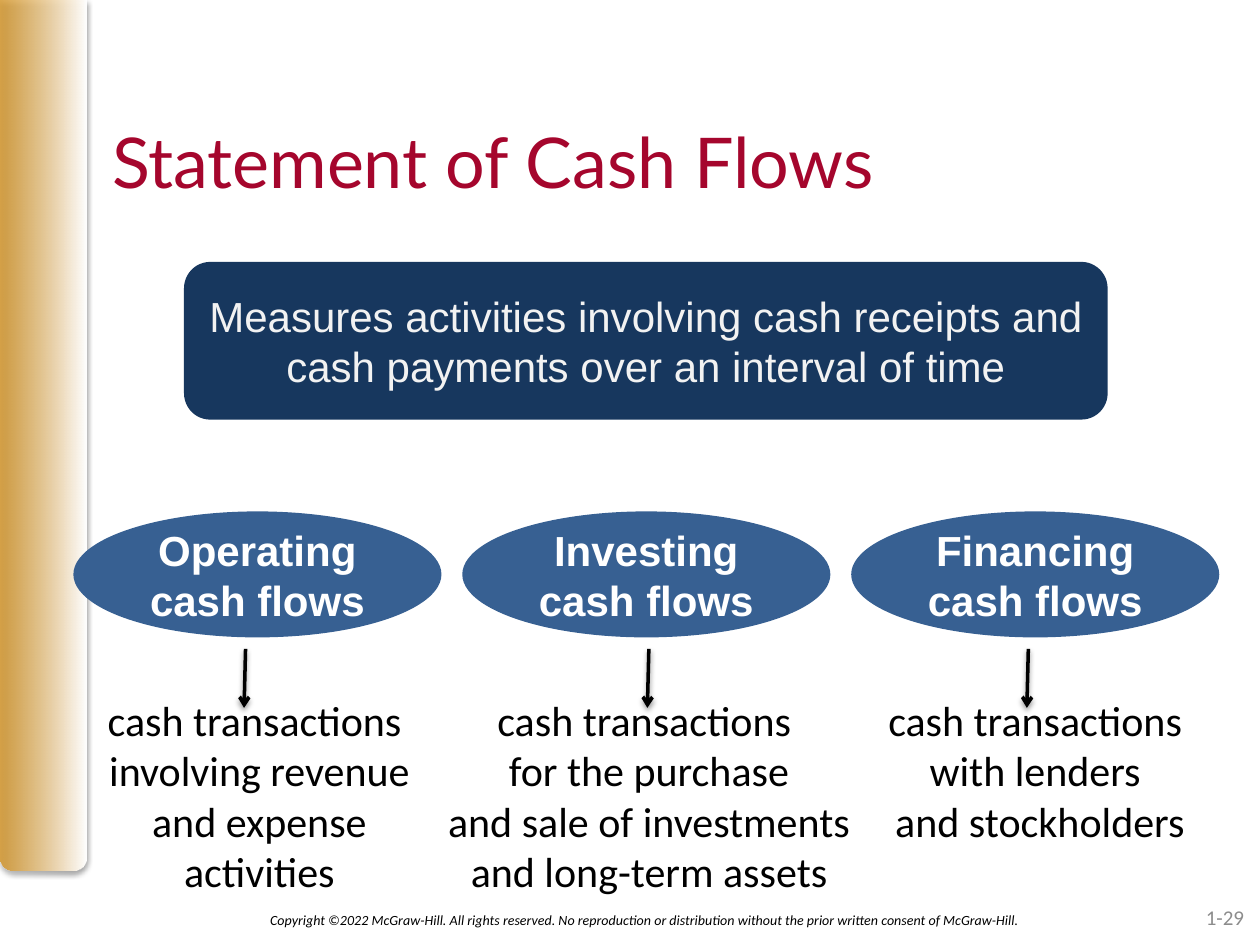
from lxml.etree import SubElement
from pptx import Presentation
from pptx.dml.color import RGBColor
from pptx.enum.shapes import MSO_CONNECTOR as Line, MSO_SHAPE as Preset
from pptx.enum.text import MSO_ANCHOR as Anchor, PP_ALIGN as Align
from pptx.oxml.ns import qn
from pptx.util import Cm, Pt

GOLD = RGBColor(0xD4, 0x93, 0x23)
CRIMSON = RGBColor(0xA5, 0x06, 0x2D)
NAVY = RGBColor(0x17, 0x37, 0x5E)
BLUE = RGBColor(0x37, 0x60, 0x92)
PALE = RGBColor(0xF2, 0xF2, 0xF2)
GREY = RGBColor(0x8C, 0x8C, 0x8C)
WHITE = RGBColor(0xFF, 0xFF, 0xFF)
BLACK = RGBColor(0, 0, 0)

ACTIVITY_LEFT, ACTIVITY_STEP = 1.48, 7.84
ACTIVITIES = [
    ("Operating", 4.95, (1.7, 13.87, 7.06, 4.37), True,
     ["cash transactions ", "involving revenue and expense activities"]),
    ("Investing", 13.08, (8.74, 13.87, 8.69, 4.37), False,
     ["cash transactions ", "for the purchase", "and sale of investments",
      "and long-term assets"]),
    ("Financing", 20.73, (17.6, 13.87, 6.73, 3.33), False,
     ["cash transactions ", "with lenders ", "and stockholders"]),
]


def write(shape, lines, size=24, font="Calibri", color=BLACK, bold=False, italic=False,
          align=Align.CENTER, anchor=Anchor.TOP, wrap=True):
    """Fill a shape with one formatted paragraph per line."""
    frame = shape.text_frame
    frame.word_wrap = wrap
    frame.vertical_anchor = anchor
    for index, line in enumerate(lines):
        paragraph = frame.add_paragraph() if index else frame.paragraphs[0]
        paragraph.alignment = align
        run = paragraph.add_run()
        run.text = line
        run.font.size, run.font.name = Pt(size), font
        run.font.bold, run.font.italic = bold, italic
        run.font.color.rgb = color


def add_text(slide, box, lines, **style):
    """Add a text box with formatted text."""
    write(slide.shapes.add_textbox(*map(Cm, box)), lines, **style)


def add_panel(slide, preset, box, color):
    """Add a borderless filled shape."""
    panel = slide.shapes.add_shape(preset, *map(Cm, box))
    panel.shadow.inherit = False
    panel.line.fill.background()
    panel.fill.solid()
    panel.fill.fore_color.rgb = color
    return panel


def cast_shadow(properties, distance, opacity):
    """Give shape properties a soft shadow that falls straight down."""
    effects = properties.find(qn("a:effectLst"))
    if effects is None:
        effects = SubElement(properties, qn("a:effectLst"))
    shadow = SubElement(effects, qn("a:outerShdw"), blurRad=str(Pt(3.1)),
                        dist=str(Pt(distance)), dir="5400000", rotWithShape="0")
    tint = SubElement(shadow, qn("a:srgbClr"), val=str(BLACK))
    SubElement(tint, qn("a:alpha"), val=str(opacity * 1000))


def add_side_band(slide):
    """Add the gold band that fades to white."""
    band = add_panel(slide, Preset.ROUND_2_SAME_RECTANGLE, (0, 0, 1.75, 17.55), GOLD)
    band.fill.gradient()
    band.fill.gradient_angle = 0
    for stop, color, position in zip(band.fill.gradient_stops, (GOLD, WHITE), (0, 1)):
        stop.color.rgb = color
        stop.position = position
    properties = band.element.spPr
    gold_stop = next(properties.iter(qn("a:srgbClr")))
    SubElement(gold_stop, qn("a:alpha"), val="80000")
    properties.find(qn("a:xfrm")).set("flipV", "1")
    cast_shadow(properties, 1.8, 35)


def add_arrow(slide, x):
    """Add an arrow from an activity down to its description."""
    arrow = slide.shapes.add_connector(Line.STRAIGHT, Cm(x), Cm(13.08), Cm(x - 0.03), Cm(14.27))
    arrow.line.color.rgb = BLACK
    arrow.line.width = Pt(2)
    SubElement(arrow.line._get_or_add_ln(), qn("a:tailEnd"), type="arrow")
    cast_shadow(arrow.element.spPr, 1.6, 38)


def add_activity(slide, index, name, arrow_x, box, wrap, description):
    """Add one kind of cash flow with its arrow and description."""
    left = ACTIVITY_LEFT + index * ACTIVITY_STEP
    oval = add_panel(slide, Preset.OVAL, (left, 10.31, 7.42, 2.54), BLUE)
    write(oval, [name, "cash flows"], font="Arial", color=WHITE, bold=True,
          anchor=Anchor.MIDDLE, wrap=False)
    add_text(slide, box, description, wrap=wrap)
    add_arrow(slide, arrow_x)


def main():
    """Build the cash flow slide and save it."""
    deck = Presentation()
    deck.slide_width, deck.slide_height = Cm(25.4), Cm(19.05)
    slide = deck.slides.add_slide(deck.slide_layouts[6])
    add_side_band(slide)
    add_text(slide, (2.01, 2.26, 22.86, 3.18), ["Statement of Cash Flows"],
             size=40, font="Lato", color=CRIMSON, align=Align.LEFT)
    banner = add_panel(slide, Preset.ROUNDED_RECTANGLE, (3.71, 5.28, 18.62, 3.18), NAVY)
    write(banner, ["Measures activities involving cash receipts and cash payments "
                   "over an interval of time"],
          font="Arial", color=PALE, anchor=Anchor.MIDDLE)
    for index, activity in enumerate(ACTIVITIES):
        add_activity(slide, index, *activity)
    add_text(slide, (3.96, 18.03, 18.16, 1.02),
             ["Copyright ©2022 McGraw-Hill. All rights reserved. No reproduction or "
              "distribution without the prior written consent of McGraw-Hill. "],
             size=8, italic=True, anchor=Anchor.MIDDLE)
    add_text(slide, (19.41, 17.98, 5.92, 1.02), ["1-29"], size=12, color=GREY,
             align=Align.RIGHT, anchor=Anchor.MIDDLE)
    deck.save("out.pptx")


if __name__ == "__main__":
    main()
